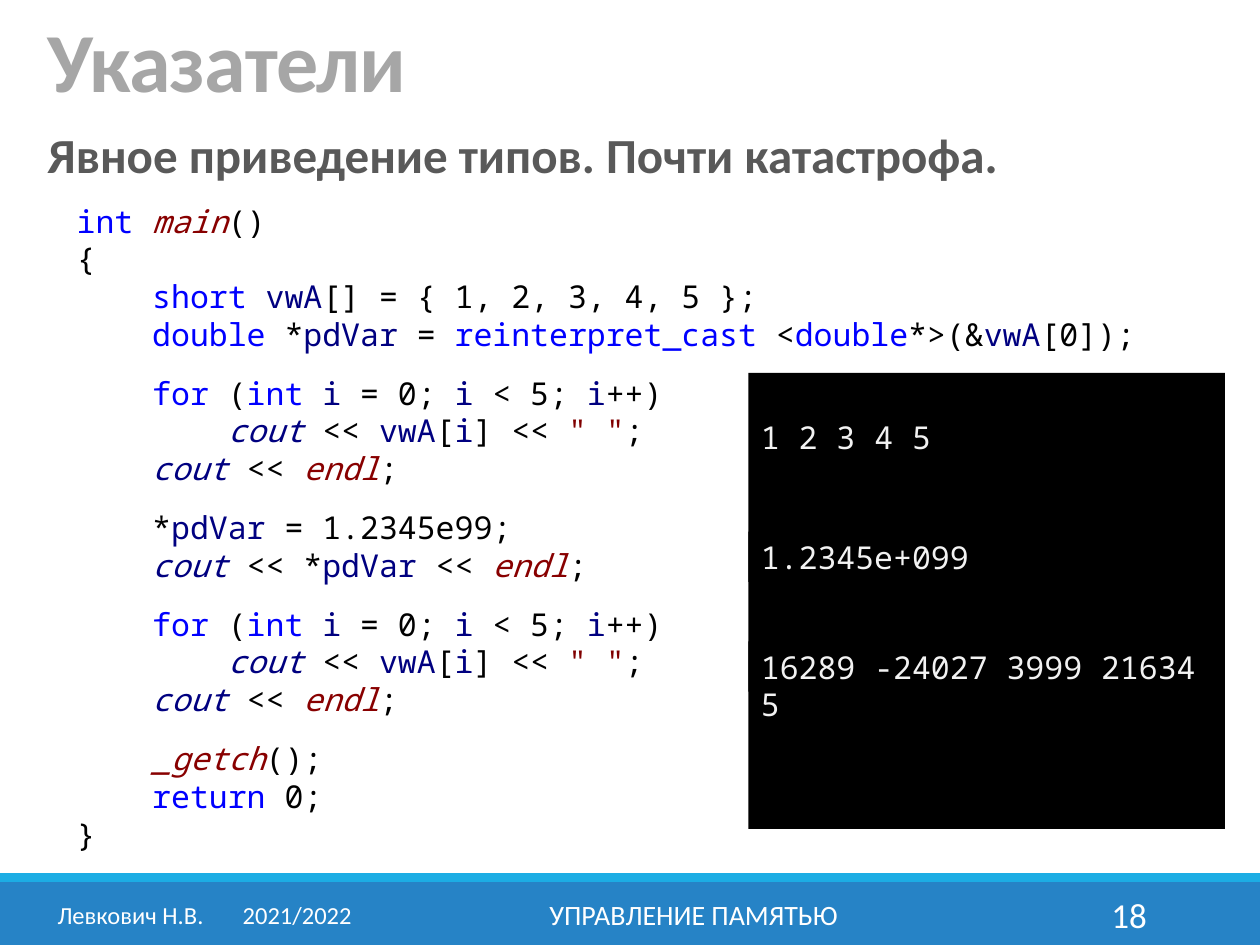
"""Build the slide on pointers and explicit type casting."""
from itertools import groupby

from lxml.etree import SubElement
from pptx import Presentation
from pptx.dml.color import RGBColor
from pptx.enum.shapes import MSO_SHAPE
from pptx.enum.text import MSO_ANCHOR, PP_ALIGN
from pptx.oxml.ns import qn
from pptx.util import Pt

TEXT_FONT, CODE_FONT = "Calibri", "Noto Sans Mono"
BLACK, WHITE, OUTPUT_GRAY = "000000", "FFFFFF", "F2F2F2"

TITLE = "Указатели"
SUBTITLE = "Явное приведение типов. Почти катастрофа."

PRINT_LOOP = [
    "    for (int i = 0; i < 5; i++)",
    '        cout << vwA[i] << " ";',
    "    cout << endl;",
]
CODE_BLOCKS = [
    [
        "int main()",
        "{",
        "    short vwA[] = { 1, 2, 3, 4, 5 };",
        "    double *pdVar = reinterpret_cast <double*>(&vwA[0]);",
    ],
    PRINT_LOOP,
    ["    *pdVar = 1.2345e99;", "    cout << *pdVar << endl;"],
    PRINT_LOOP,
    ["    _getch();", "    return 0;", "}"],
]
WORD_STYLES = [
    ("int short double reinterpret_cast for return", ("0000FF", False)),
    ("vwA pdVar i", ("000080", False)),
    ("cout", ("000080", True)),
    ("main endl _getch", ("880000", True)),
]
STYLE_OF = {word: style for words, style in WORD_STYLES for word in words.split()}
PLAIN, QUOTED = (BLACK, False), ("800000", False)

BARS = [((0, 504, 720, 36), "2683C6"), ((0, 499, 720, 5), "1CADE4")]
OUTPUTS = [
    ("1 2 3 4 5", (427.7, 213.1, 272.2, 260.6), 25.6),
    ("1.2345e+099", (427.7, 303.8, 249.1, 28.8), 3.6),
    ("16289 -24027 3999 21634 5", (427.7, 366.5, 272.2, 28.8), 3.6),
]
FOOTERS = [
    ("Левкович Н.В.\t2021/2022", 23, 188, 14, PP_ALIGN.CENTER),
    ("УПРАВЛЕНИЕ ПАМЯТЬЮ", 217.4, 357.8, 16, PP_ALIGN.CENTER),
    ("18", 584.6, 77.8, 20, PP_ALIGN.RIGHT),
]


def color(value):
    return RGBColor.from_string(value)


def style_font(font, name, size, value, bold=False, italic=False):
    font.name, font.size = name, Pt(size)
    font.bold, font.italic = bold, italic
    font.color.rgb = color(value)


def add_rectangle(slide, area, fill):
    shape = slide.shapes.add_shape(MSO_SHAPE.RECTANGLE, *map(Pt, area))
    shape.shadow.inherit = False
    shape.fill.solid()
    shape.fill.fore_color.rgb = color(fill)
    shape.line.fill.background()
    return shape


def add_text(slide, area, text, size, value, bold=False, anchor=MSO_ANCHOR.TOP):
    frame = slide.shapes.add_textbox(*map(Pt, area)).text_frame
    frame.word_wrap = True
    frame.vertical_anchor = anchor
    frame.text = text
    para = frame.paragraphs[0]
    style_font(para.runs[0].font, TEXT_FONT, size, value, bold)
    return para


def styled_tokens(line):
    for index, piece in enumerate(line.split('"')):
        if index % 2:
            yield f'"{piece}"', QUOTED
            continue
        for _, letters in groupby(piece, lambda char: char.isalnum() or char == "_"):
            token = "".join(letters)
            yield token, STYLE_OF.get(token, PLAIN)


def add_code(slide, area):
    frame = slide.shapes.add_textbox(*map(Pt, area)).text_frame
    frame.word_wrap = True
    para = frame.paragraphs[0]
    for block_index, block in enumerate(CODE_BLOCKS):
        for line_index, line in enumerate(block):
            if block_index or line_index:
                para = frame.add_paragraph()
            if block_index and not line_index:
                para.space_before = Pt(12)
            for style, tokens in groupby(styled_tokens(line), lambda pair: pair[1]):
                span = para.add_run()
                span.text = "".join(token for token, _ in tokens)
                style_font(span.font, CODE_FONT, 18, style[0], italic=style[1])


def add_output(slide, text, area, top_inset):
    frame = add_rectangle(slide, area, BLACK).text_frame
    frame.word_wrap = True
    frame.vertical_anchor = MSO_ANCHOR.TOP
    frame.margin_top = Pt(top_inset)
    frame.text = text
    para = frame.paragraphs[0]
    para.alignment = PP_ALIGN.LEFT
    style_font(para.runs[0].font, CODE_FONT, 18, OUTPUT_GRAY)


def add_tab_stop(para, position):
    stops = SubElement(para._p.get_or_add_pPr(), qn("a:tabLst"))
    SubElement(stops, qn("a:tab"), pos=str(Pt(position)), algn="l")


def main():
    deck = Presentation()
    deck.slide_width, deck.slide_height = Pt(720), Pt(540)
    slide = deck.slides.add_slide(deck.slide_layouts[6])
    for area, fill in BARS:
        add_rectangle(slide, area, fill)
    add_code(slide, (36.7, 111.6, 646.6, 383))
    title = add_text(slide, (20.2, 0, 594, 66.2), TITLE, 48, "A6A6A6", True, MSO_ANCHOR.BOTTOM)
    title.line_spacing = 0.85
    title.runs[0].font._element.set("spc", "-50")
    subtitle = add_text(slide, (20.2, 71.3, 674.6, 38.2), SUBTITLE, 28, "595959", True)
    subtitle.line_spacing = 0.9
    for text, area, top_inset in OUTPUTS:
        add_output(slide, text, area, top_inset)
    for text, left, width, size, alignment in FOOTERS:
        area = (left, 508.3, width, 28.8)
        para = add_text(slide, area, text, size, WHITE, anchor=MSO_ANCHOR.MIDDLE)
        para.alignment = alignment
        if "\t" in text:
            add_tab_stop(para, 105.8)
    deck.save("out.pptx")


if __name__ == "__main__":
    main()
